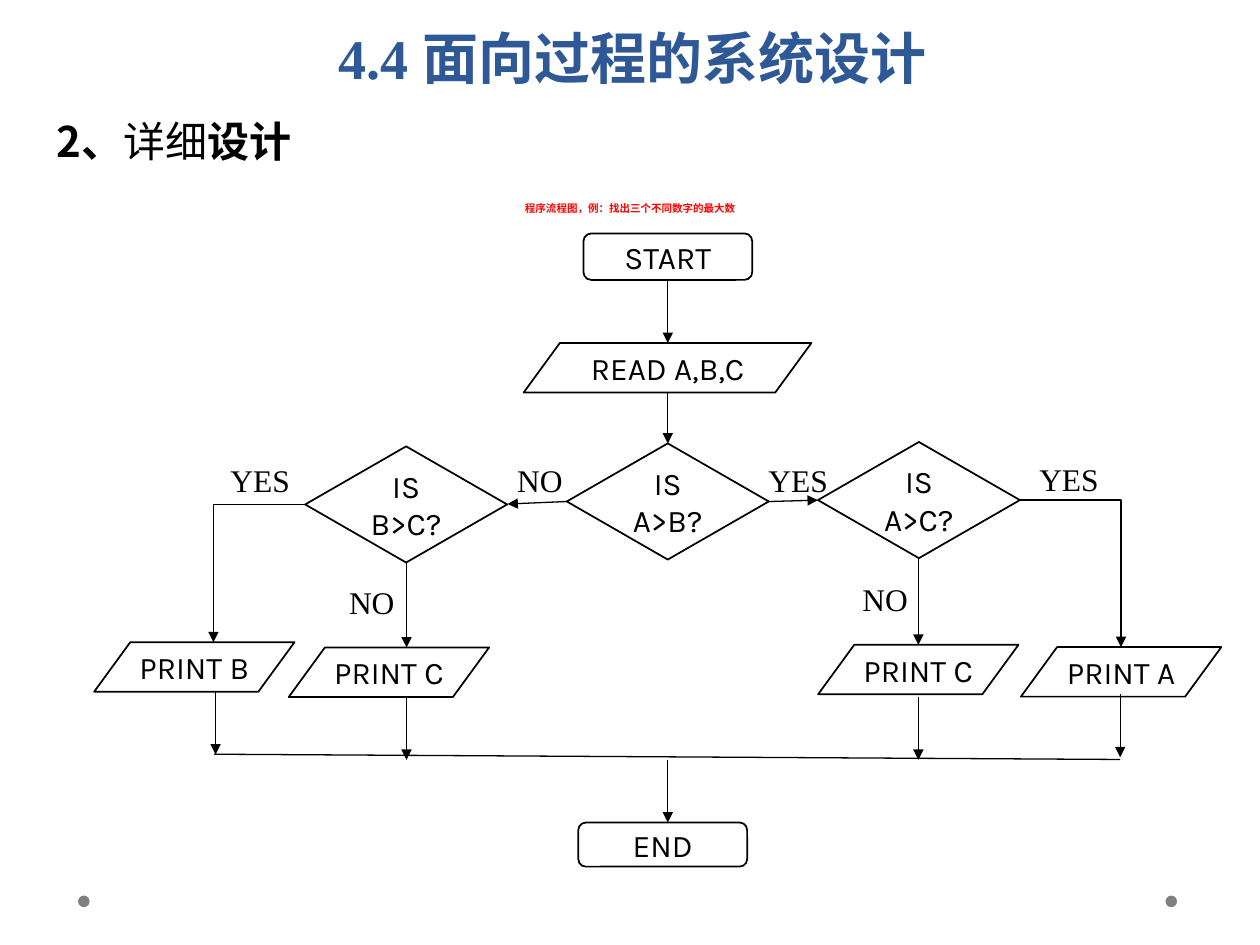
from lxml.etree import SubElement
from pptx import Presentation
from pptx.dml.color import RGBColor
from pptx.enum.shapes import MSO_CONNECTOR, MSO_SHAPE
from pptx.enum.text import MSO_ANCHOR, PP_ALIGN
from pptx.oxml.ns import qn
from pptx.util import Pt


def color(code):
    return RGBColor.from_string(code)


def write(shape, *runs, size=18, font="Karla", ink="000000", align=PP_ALIGN.CENTER,
          anchor=MSO_ANCHOR.MIDDLE, wrap=True, lead=None, before=0):
    """Fill a shape with one paragraph; each run is a (words, bold) pair."""
    frame = shape.text_frame
    frame.word_wrap = wrap
    frame.vertical_anchor = anchor
    par = frame.paragraphs[0]
    par.alignment = align
    par.line_spacing = lead
    par.space_before = Pt(before)
    for words, bold in runs:
        run = par.add_run()
        run.text = words
        run.font.size = Pt(size)
        run.font.name = font
        run.font.bold = bold
        run.font.color.rgb = color(ink)
        SubElement(run.font._element, qn("a:ea"), typeface="Noto Sans CJK SC")


deck = Presentation()
deck.slide_width, deck.slide_height = Pt(720), Pt(540)
shapes = deck.slides.add_slide(deck.slide_layouts[6]).shapes

# Footer dots
for left in (44.6, 666):
    dot = shapes.add_shape(MSO_SHAPE.OVAL, Pt(left), Pt(511.8), Pt(6.6), Pt(6.6))
    dot.shadow.inherit = False
    dot.fill.solid()
    dot.fill.fore_color.rgb = color("7F7F7F")
    dot.line.fill.background()

# Headings
note = shapes.add_textbox(Pt(36), Pt(82.8), Pt(648), Pt(43.2))
write(note, ("程序流程图，例：找出三个不同数字的最大数", True), size=6,
      font="Noto Sans CJK SC", ink="FF0000", anchor=MSO_ANCHOR.BOTTOM, lead=Pt(58))
title = shapes.add_textbox(Pt(37.4), Pt(-9.4), Pt(648), Pt(59.8))
write(title, ("4.4 面向过程的系统设计", True), size=32, font="Times New Roman",
      ink="2F5897", anchor=MSO_ANCHOR.TOP, lead=Pt(58), before=12)
head = shapes.add_textbox(Pt(25.2), Pt(54), Pt(623.5), Pt(44.6))
write(head, ("2、", True), ("详细", False), ("设计", True), size=24,
      font="Noto Sans CJK SC", align=PP_ALIGN.LEFT, anchor=MSO_ANCHOR.TOP,
      lead=1.3, before=9)

# Flowchart nodes: preset, corner or slant, width, height, (words, left, top)
nodes = [
    (MSO_SHAPE.ROUNDED_RECTANGLE, 0.17, 96.5, 26.6, [("START", 333.4, 133.4)]),
    (MSO_SHAPE.ROUNDED_RECTANGLE, 0.17, 96.5, 25.2, [("END", 330.5, 470)]),
    (MSO_SHAPE.PARALLELOGRAM, 0.73, 164.4, 28.3, [("READ A,B,C", 299.3, 196)]),
    (MSO_SHAPE.PARALLELOGRAM, 0.73, 114.5, 28.3, [
        ("PRINT B", 53.8, 367), ("PRINT C", 165, 370),
        ("PRINT C", 467.5, 368.5), ("PRINT A", 583.4, 369.8)]),
    (MSO_SHAPE.DIAMOND, None, 115.4, 66.4, [
        ("IS A>B?", 323.9, 253.4), ("IS A>C?", 467.4, 252.6),
        ("IS B>C?", 174.4, 255.1)]),
]
for kind, bend, wide, high, items in nodes:
    for words, left, top in items:
        node = shapes.add_shape(kind, Pt(left), Pt(top), Pt(wide), Pt(high))
        node.shadow.inherit = False
        node.fill.background()
        node.line.color.rgb = color("000000")
        node.line.width = Pt(1)
        if bend:
            node.adjustments[0] = bend
        write(node, (words, False))

# Flow lines: start x, y, end x, y
mid, west, east = 381.6, 232.3, 524.8
arrows = [
    (mid, 160.3, mid, 196), (mid, 224.4, mid, 253.4),
    (west, 321.6, west, 370), (east, 319, east, 368.5),
    (439.3, 286.6, 467.4, 285.8), (323.9, 286.6, 290, 288),
    (123.2, 395.3, 123.2, 431.2), (west, 398.3, west, 434.2),
    (east, 398.3, east, 434.2), (640.1, 396.7, 640.1, 432.7),
    (mid, 434.2, mid, 470),
]
elbows = [(582.8, 285.8, 640.6, 369.8), (174.4, 288.2, 122, 367)]
merge = (122.4, 431, 640.1, 434)
for ends in arrows + elbows + [merge]:
    link = shapes.add_connector(MSO_CONNECTOR.STRAIGHT, *map(Pt, ends))
    link.line.color.rgb = color("000000")
    link.line.width = Pt(0.75)
    if ends in elbows:
        link._element.spPr.find(qn("a:prstGeom")).set("prst", "bentConnector2")
    if ends != merge:
        SubElement(link.line._get_or_add_ln(), qn("a:tailEnd"), type="triangle")
    SubElement(link._element.spPr, qn("a:effectLst"))

# Branch labels
labels = [
    ("YES", 48.2, [(432, 259.7), (586.8, 259.4), (124.6, 260.2)]),
    ("NO", 40.3, [(192.4, 329.6), (288.4, 259.7), (485.7, 327.8)]),
]
for words, wide, spots in labels:
    for left, top in spots:
        label = shapes.add_textbox(Pt(left), Pt(top), Pt(wide), Pt(28.8))
        write(label, (words, False), font="Times New Roman", align=PP_ALIGN.LEFT,
              anchor=MSO_ANCHOR.TOP, wrap=False)

deck.save("out.pptx")
